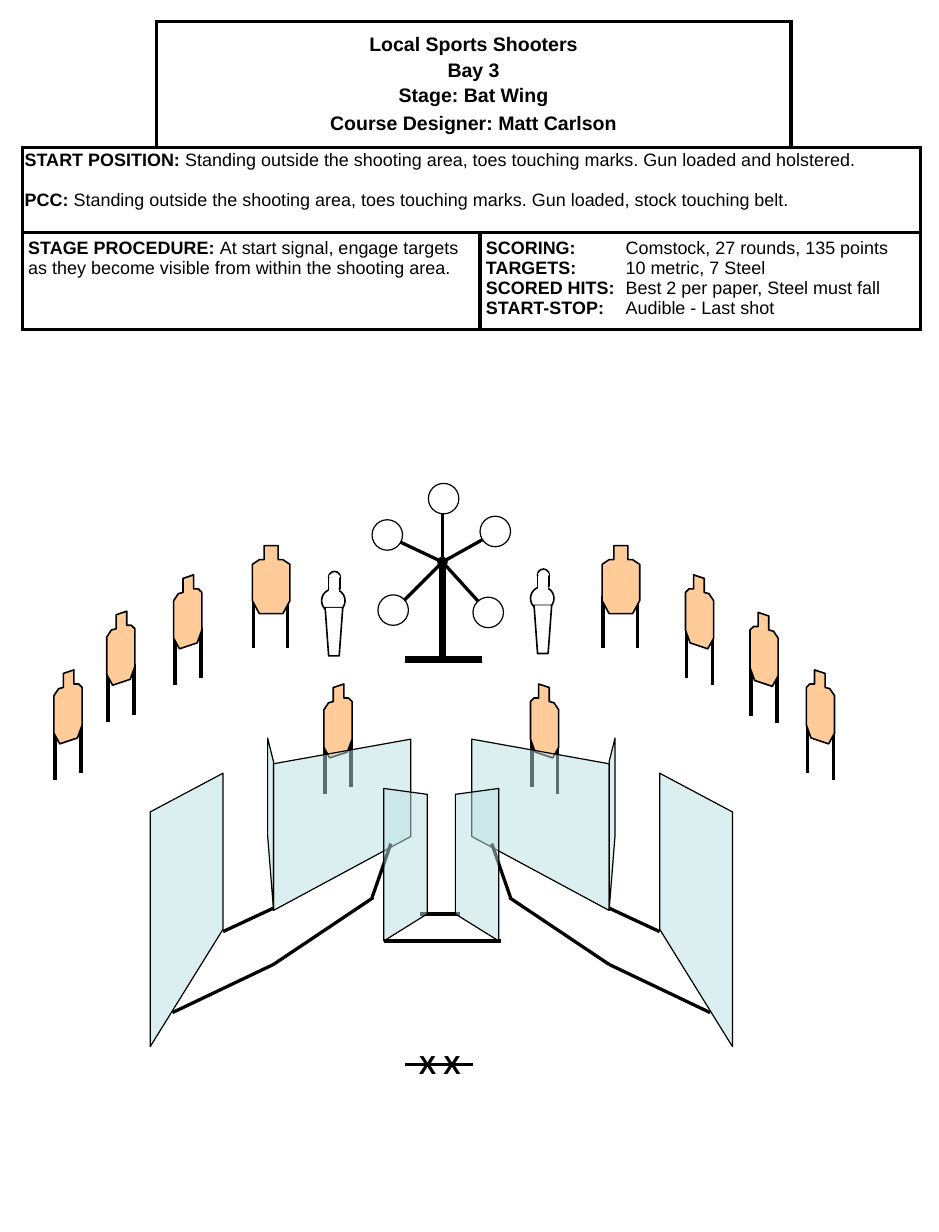
from lxml.etree import SubElement
from pptx import Presentation
from pptx.dml.color import RGBColor
from pptx.enum.shapes import MSO_CONNECTOR, MSO_SHAPE
from pptx.enum.text import MSO_ANCHOR, PP_ALIGN
from pptx.oxml.ns import qn
from pptx.util import Inches, Pt

THEME = {
    "font": "Arial", "ink": "000000", "paper": "FFFFFF",
    "target": "FFCC99", "wall": "BBE0E3", "wall_alpha": 50,
    "title": 12, "body": 11, "marks": 16,
    "thin": 0.75, "outline": 1, "fault": 2, "frame": 2.25, "post": 4.5,
}

# Content: paragraphs are (space before, [(text, bold), ...])
TITLE = [
    (0, [("Local Sports Shooters", True)]),
    (2, [("Bay 3", True)]),
    (2, [("Stage: Bat Wing", True)]),
    (4, [("Course Designer: Matt Carlson", True)]),
]
START = [
    (0, [("START POSITION:", True), (" Standing outside the shooting area, toes touching "
         "marks. Gun loaded and holstered.", False)]),
    (13, [("PCC: ", True), ("Standing outside the shooting area, toes touching marks. "
          "Gun loaded, stock touching belt.", False)]),
]
PROCEDURE = [
    (0, [("STAGE PROCEDURE: ", True), ("At start signal, engage targets as they become "
         "visible from within the shooting area.", False)]),
]
SCORING = [(0, [(label, True), ("\t" + value, False)]) for label, value in (
    ("SCORING:", "Comstock, 27 rounds, 135 points"),
    ("TARGETS:", "10 metric, 7 Steel"),
    ("SCORED HITS:", "Best 2 per paper, Steel must fall"),
    ("START-STOP:", "Audible - Last shot"),
)]

# Table layout: (row, column, span, paragraphs, format)
TABLE_AT = (0.19, 0.18)
COLUMNS, ROWS = (1.14, 2.76, 2.65, 1.1), (1.08, 0.72, 0.83)
CELLS = [
    (0, 0, 1, [], {"sides": "RB"}),
    (0, 1, 2, TITLE, {"size": "title", "align": PP_ALIGN.CENTER, "anchor": MSO_ANCHOR.MIDDLE}),
    (0, 3, 1, [], {"sides": "LB"}),
    (1, 0, 4, START, {"inset": (0.02, 0.04), "spacing": 0.9}),
    (2, 0, 2, PROCEDURE, {}),
    (2, 2, 2, SCORING, {"tab": 1.19}),
]

# Bay layout: walls and fault lines of the left wing; the right wing mirrors them
MIRROR = 7.52
BACK_WALL = [(3.5, 7.13), (2.33, 7.76), (2.33, 6.51), (3.5, 6.3)]
INNER_WALL = [(3.27, 8.02), (3.27, 6.72), (3.64, 6.77), (3.64, 7.79)]
OUTER_WALL = [(1.9, 7.92), (1.28, 8.92), (1.28, 6.92), (1.9, 6.59)]
SIDE_WALL = [(2.28, 7.12), (2.33, 7.75), (2.33, 6.49), (2.28, 6.29)]
WING = [
    ("wall", BACK_WALL), ("fault", [(3.17, 7.65), (3.33, 7.19)]), ("wall", INNER_WALL),
    ("fault", [(2.33, 8.22), (3.18, 7.65)]), ("wall", OUTER_WALL),
    ("fault", [(1.9, 7.94), (2.33, 7.74)]), ("fault", [(1.47, 8.63), (2.33, 8.22)]),
    ("wall", SIDE_WALL),
]

# Paper targets: outline and leg tops relative to the upper left corner
TILTED = {
    "width": 0.24, "leg": 0.43, "legs": [(0.01, 0.51), (0.23, 0.45)],
    "outline": [(0.08, 0.03), (0.17, 0), (0.17, 0.12), (0.21, 0.12), (0.24, 0.15), (0.24, 0.47),
                (0.2, 0.58), (0.05, 0.63), (0, 0.54), (0, 0.22), (0.04, 0.16), (0.08, 0.15)],
}
FACING = {
    "width": 0.31, "leg": 0.44, "legs": [(0.01, 0.43), (0.3, 0.43)],
    "outline": [(0.1, 0), (0.22, 0), (0.22, 0.12), (0.26, 0.12), (0.32, 0.16), (0.32, 0.47),
                (0.26, 0.58), (0.06, 0.58), (0, 0.47), (0, 0.16), (0.06, 0.12), (0.1, 0.12)],
}
# (kind, left, top, mirrored)
NEAR_TARGETS = [(TILTED, 4.52, 5.83, True), (TILTED, 2.76, 5.83, False)]
FAR_TARGETS = [
    (FACING, 2.15, 4.65, False), (FACING, 5.13, 4.65, False),
    (TILTED, 0.46, 5.71, False), (TILTED, 0.91, 5.21, False), (TILTED, 1.48, 4.9, False),
    (TILTED, 6.39, 5.22, True), (TILTED, 6.87, 5.71, True), (TILTED, 5.84, 4.9, True),
]

# Steel: star with five plates, and two poppers
HUB, PLATE = (3.77, 4.79), 0.26
STAR = [  # plate corner, arm end
    ((3.17, 4.43), (3.41, 4.62)), ((3.65, 4.12), (3.77, 4.37)), ((4.09, 4.4), (4.11, 4.6)),
    ((4.03, 5.09), (4.07, 5.12)), ((3.22, 5.07), (3.42, 5.14)),
]
STAND = [((3.77, 5.62), (3.77, 4.81)), ((3.45, 5.62), (4.11, 5.62))]
POPPERS = [(2.74, 4.87), (4.52, 4.85)]
POPPER_LEG = [(0.03, 0.31), (0.18, 0.31), (0.15, 0.72), (0.06, 0.72)]
POPPER_SEAMS = [(0.04, 0.31, 0.13, 0.02, None), (0.07, 0.15, 0.07, 0.02, "paper"),
                (0.07, 0.04, 0.08, 0.01, "paper")]


def color(name):
    return RGBColor.from_string(THEME[name])


def paint(shape, fill, width, line="ink"):
    shape.shadow.inherit = False
    shape.fill.solid()
    shape.fill.fore_color.rgb = color(fill)
    if line is None:
        shape.line.fill.background()
    else:
        shape.line.color.rgb = color(line)
        shape.line.width = Pt(THEME[width])


def line(shapes, start, end, width):
    stroke = shapes.add_connector(MSO_CONNECTOR.STRAIGHT, *map(Inches, (*start, *end)))
    stroke.line.color.rgb = color("ink")
    stroke.line.width = Pt(THEME[width])
    SubElement(stroke._element.spPr, qn("a:effectLst"))


def outline(shapes, points, fill, width):
    first, *rest = [(Inches(x), Inches(y)) for x, y in points]
    builder = shapes.build_freeform(*first)
    builder.add_line_segments(rest, close=True)
    shape = builder.convert_to_shape()
    paint(shape, fill, width)
    return shape


def preset(shapes, kind, at, fill, width, edge="ink"):
    paint(shapes.add_shape(kind, *map(Inches, at)), fill, width, edge)


def write(frame, paragraphs, size="body", align=PP_ALIGN.LEFT, spacing=1.0, tab=None):
    for index, (before, spans) in enumerate(paragraphs):
        para = frame.paragraphs[0] if index == 0 else frame.add_paragraph()
        para.alignment, para.line_spacing, para.space_before = align, spacing, Pt(before)
        if tab:
            stops = SubElement(para._p.get_or_add_pPr(), qn("a:tabLst"))
            SubElement(stops, qn("a:tab"), pos=str(Inches(tab)), algn="l")
        for text, bold in spans:
            span = para.add_run()
            span.text = text
            for key, value in {"name": THEME["font"], "size": Pt(THEME[size]), "bold": bold}.items():
                setattr(span.font, key, value)
            span.font.color.rgb = color("ink")


def frame_cell(cell, sides):
    cell.fill.solid()
    cell.fill.fore_color.rgb = color("paper")
    props = cell._tc.get_or_add_tcPr()
    for index, side in enumerate(s for s in "LRTB" if s in sides):
        border = SubElement(props, qn("a:ln" + side), w=str(Pt(THEME["frame"])))
        SubElement(SubElement(border, qn("a:solidFill")), qn("a:srgbClr"), val=THEME["ink"])
        props.insert(index, border)


def add_briefing(page):
    table = page.shapes.add_table(len(ROWS), len(COLUMNS), *map(
        Inches, (*TABLE_AT, sum(COLUMNS), sum(ROWS)))).table
    table.first_row = table.horz_banding = False
    for column, width in zip(table.columns, COLUMNS):
        column.width = Inches(width)
    for row, height in zip(table.rows, ROWS):
        row.height = Inches(height)
    for row, left, span, paragraphs, style in CELLS:
        style = dict(style)
        sides, anchor = style.pop("sides", "LRTB"), style.pop("anchor", MSO_ANCHOR.TOP)
        side_inset, top_inset = map(Inches, style.pop("inset", (0.05, 0.05)))
        last = left + span - 1
        cell = table.cell(row, left)
        if span > 1:
            cell.merge(table.cell(row, last))
        cell.margin_left = cell.margin_right = side_inset
        cell.margin_top = cell.margin_bottom = top_inset
        cell.vertical_anchor = anchor
        write(cell.text_frame, paragraphs, **style)
        frame_cell(cell, sides)
        for column in range(left + 1, last + 1):
            frame_cell(table.cell(row, column), "RTB" if column == last else "TB")


def add_target(page, kind, left, top, mirrored):
    def place(x, y):
        return left + (kind["width"] - x if mirrored else x), top + y
    shapes = page.shapes.add_group_shape().shapes
    for x, y in kind["legs"]:
        line(shapes, place(x, y), place(x, y + kind["leg"]), "frame")
    outline(shapes, [place(*point) for point in kind["outline"]], "target", "outline")


def add_wings(page):
    for kind, points in WING:
        for side in (points, [(MIRROR - x, y) for x, y in points]):
            if kind == "fault":
                line(page.shapes, *side, "fault")
            else:
                wall = outline(page.shapes, side, "wall", "thin")
                tint = wall._element.spPr.find(qn("a:solidFill"))[0]
                SubElement(tint, qn("a:alpha"), val=str(THEME["wall_alpha"] * 1000))


def add_star(page):
    shapes = page.shapes.add_group_shape().shapes
    for _, end in STAR:
        line(shapes, HUB, end, "fault")
    for corner, _ in STAR:
        preset(shapes, MSO_SHAPE.OVAL, (*corner, PLATE, PLATE), "paper", "thin")
    preset(shapes, MSO_SHAPE.OVAL, (HUB[0] - 0.04, HUB[1] - 0.04, 0.08, 0.08), "ink", "thin")
    for start, end in STAND:
        line(shapes, start, end, "post")


def add_popper(page, left, top):
    shapes = page.shapes.add_group_shape().shapes
    for x, y, size in ((0.06, 0, 0.1), (0, 0.15, 0.2)):
        preset(shapes, MSO_SHAPE.OVAL, (left + x, top + y, size, size), "paper", "outline")
    outline(shapes, [(left + x, top + y) for x, y in POPPER_LEG], "paper", "outline")
    for x, y, width, height, edge in [(0.06, 0.05, 0.1, 0.1, "ink")] + POPPER_SEAMS:
        preset(shapes, MSO_SHAPE.RECTANGLE, (left + x, top + y, width, height),
               "paper", "outline", edge)


def main():
    deck = Presentation()
    deck.slide_width, deck.slide_height = Inches(8), Inches(10.5)
    page = deck.slides.add_slide(deck.slide_layouts[6])
    for target in NEAR_TARGETS:
        add_target(page, *target)
    line(page.shapes, (3.58, 7.79), (3.92, 7.79), "fault")
    add_briefing(page)
    # Start marks
    box = page.shapes.add_textbox(*map(Inches, (3.47, 8.89, 0.58, 0.37)))
    box.text_frame.word_wrap = False
    write(box.text_frame, [(0, [("X X", True)])], size="marks")
    add_wings(page)
    line(page.shapes, (3.27, 8.02), (4.27, 8.02), "fault")
    add_star(page)
    for target in FAR_TARGETS:
        add_target(page, *target)
    line(page.shapes, (3.45, 9.07), (4.03, 9.07), "fault")
    for popper in POPPERS:
        add_popper(page, *popper)
    deck.save("out.pptx")


if __name__ == "__main__":
    main()
